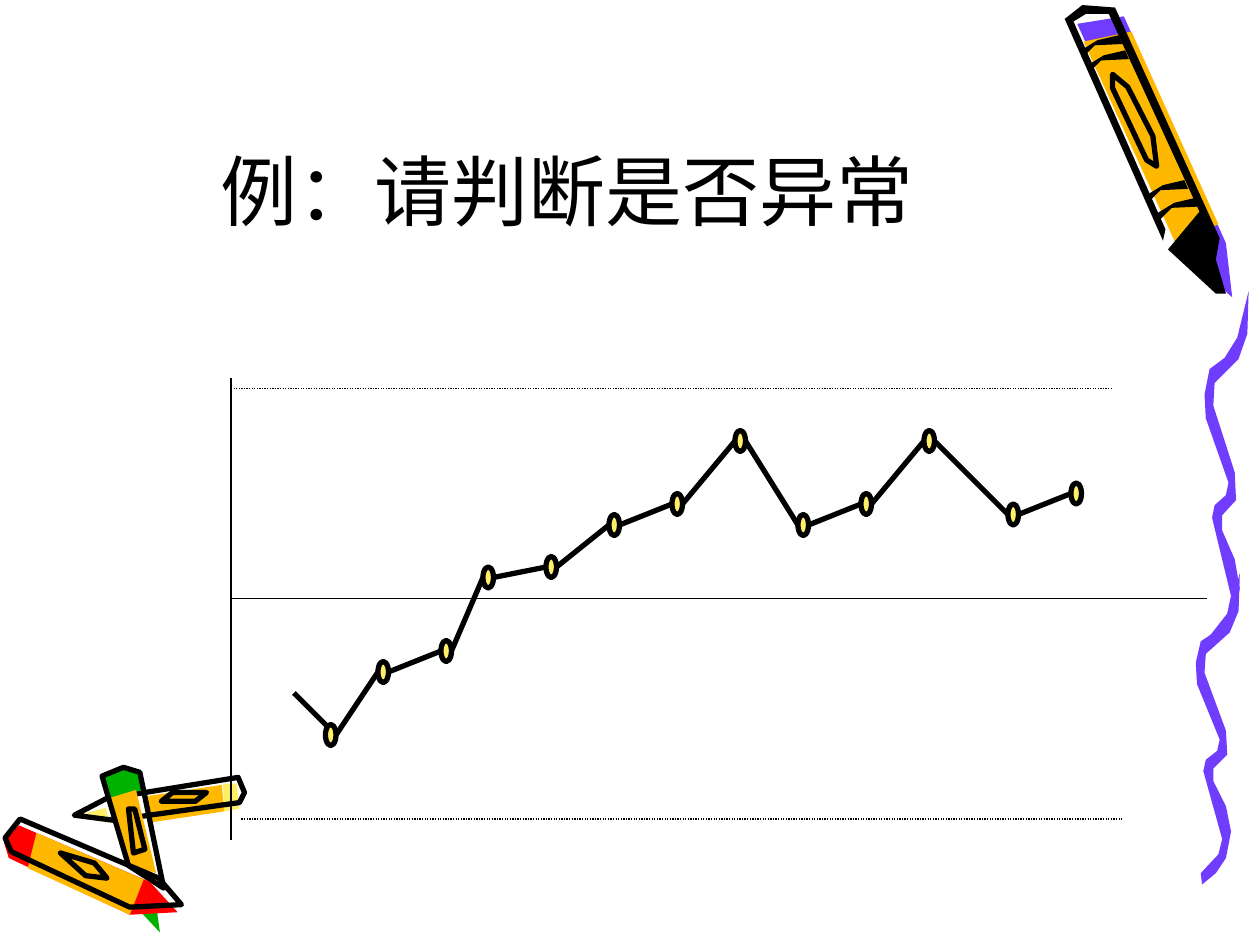
from itertools import pairwise

from lxml import etree
from pptx import Presentation
from pptx.dml.color import RGBColor
from pptx.enum.dml import MSO_LINE
from pptx.enum.shapes import MSO_CONNECTOR, MSO_SHAPE
from pptx.enum.text import MSO_ANCHOR, MSO_AUTO_SIZE, PP_ALIGN
from pptx.oxml.ns import qn
from pptx.util import Cm, Pt

STRAIGHT = MSO_CONNECTOR.STRAIGHT
MARKER = MSO_SHAPE.FLOWCHART_CONNECTOR
DOTTED = MSO_LINE.ROUND_DOT

BLACK = RGBColor(0x00, 0x00, 0x00)
PURPLE = RGBColor(0x70, 0x3D, 0xFF)
ORANGE = RGBColor(0xFF, 0xB8, 0x00)
YELLOW = RGBColor(0xFF, 0xEF, 0x66)
RED = RGBColor(0xFF, 0x00, 0x00)
GREEN = RGBColor(0x00, 0xB2, 0x00)

ART_UNIT = Cm(2.54) / 100   # artwork points are hundredths of an inch
GRID = Cm(2.54) / 12        # the control chart sits on a twelfth-inch grid

# Large crayon: fill colour (None for an outline only) and corner points
LARGE_CRAYON = [
    (PURPLE, [(855, 19), (937, 200), (978, 236), (973, 193), (892, 13)]),
    (ORANGE, [(933, 193), (967, 178), (898, 25), (860, 33)]),
    (BLACK, [(845, 15), (923, 191), (925, 182), (852, 17), (862, 11), (880, 11),
             (952, 168), (927, 198), (965, 233), (973, 233), (965, 206), (968, 189),
             (885, 6), (859, 4)]),
    (None, [(883, 59), (883, 70), (910, 127), (918, 132), (915, 108), (895, 69)]),
]
BAND = [(0, 0), (9, -9), (31, -10), (28, -17), (11, -13), (-2, -5)]
BAND_CORNERS = [(860, 45), (865, 57), (912, 160), (921, 174)]

# Small crayons, from back to front
SMALL_CRAYONS = [
    (YELLOW, [(84, 641), (60, 648), (87, 653)]),
    (ORANGE, [(116, 632), (176, 623), (178, 644), (118, 653)]),
    (YELLOW, [(177, 622), (188, 622), (190, 642), (178, 644)]),
    (None, [(59, 647), (84, 634), (189, 617), (194, 629), (190, 637), (90, 651)]),
    (None, [(128, 636), (137, 629), (164, 629), (155, 636)]),
    (GREEN, [(81, 618), (98, 609), (111, 613), (113, 627), (87, 634)]),
    (ORANGE, [(88, 633), (108, 627), (124, 693), (103, 687)]),
    (None, [(81, 616), (98, 609), (111, 613), (130, 705), (102, 687)]),
    (None, [(102, 642), (107, 642), (115, 674), (106, 677)]),
    (GREEN, [(111, 723), (124, 718), (127, 740)]),
    (RED, [(3, 668), (15, 655), (119, 700), (141, 724), (103, 726), (7, 681)]),
    (ORANGE, [(22, 689), (103, 726), (114, 698), (29, 661)]),
    (None, [(4, 665), (16, 650), (126, 697), (144, 718), (103, 720), (9, 676)]),
    (None, [(48, 677), (75, 685), (85, 697), (68, 695)]),
]

# Upper half of the wavy stroke; the lower half is the same, smaller
WAVE = [
    (960, 505), (974, 487), (977, 473), (962, 411), (964, 401), (973, 393),
    (975, 383), (957, 332), (956, 313), (960, 293), (972, 284), (982, 268),
    (991, 231), (990, 265), (983, 285), (964, 304), (963, 322), (980, 375),
    (981, 397), (970, 409), (970, 421), (980, 444), (984, 467), (980, 491),
    (972, 504), (961, 515),
]

# Control chart, in grid steps: x1, y1, x2, y2 for lines; left, top for markers
AXES = [(22, 36, 22, 80), (22, 57, 115, 57)]
LIMITS = [(22, 37, 106, 37), (23, 78, 107, 78)]
LEAD_IN = (28, 66, 32, 70)
MARKERS = [
    (31, 69), (36, 63), (42, 61), (46, 54), (52, 53), (58, 49), (64, 47),
    (70, 41), (76, 49), (82, 47), (88, 41), (96, 48), (102, 46),
]


def add_title(slide, text):
    title = slide.shapes.title
    title.left, title.top, title.width, title.height = Cm(1.9), Cm(0.43), Cm(19.08), Cm(4.45)
    frame = title.text_frame
    frame.auto_size = MSO_AUTO_SIZE.NONE
    frame.vertical_anchor = MSO_ANCHOR.BOTTOM
    paragraph = frame.paragraphs[0]
    paragraph.alignment = PP_ALIGN.CENTER
    run = paragraph.add_run()
    run.text = text
    run.font.name, run.font.size = "Comic Neue", Pt(44)
    run.font.color.rgb = BLACK


def add_artwork(slide, parts):
    group = slide.shapes.add_group_shape()
    for colour, points in parts:
        builder = group.shapes.build_freeform(*points[0], scale=ART_UNIT)
        builder.add_line_segments(points[1:], close=True)
        shape = builder.convert_to_shape()
        shape.shadow.inherit = False
        if colour is None:
            shape.fill.background()
            shape.line.color.rgb = BLACK
            shape.line.width = Pt(3)
        else:
            shape.fill.solid()
            shape.fill.fore_color.rgb = colour
            shape.line.fill.background()


def add_line(slide, ends, width, dash=None):
    line = slide.shapes.add_connector(STRAIGHT, *(round(value * GRID) for value in ends))
    line.line.color.rgb = BLACK
    line.line.width = Pt(width)
    if dash:
        line.line.dash_style = dash
    etree.SubElement(line._element.spPr, qn("a:effectLst"))


def add_marker(slide, left, top):
    box = (round(value * GRID) for value in (left, top, 1, 2))
    marker = slide.shapes.add_shape(MARKER, *box)
    marker.shadow.inherit = False
    marker.fill.solid()
    marker.fill.fore_color.rgb = YELLOW
    marker.line.color.rgb = BLACK
    marker.line.width = Pt(3)


def main():
    presentation = Presentation()
    presentation.slide_width, presentation.slide_height = Cm(25.4), Cm(19.05)
    slide = presentation.slides.add_slide(presentation.slide_layouts[5])
    add_title(slide, "例：请判断是否异常")

    # Crayons and wavy stroke
    bands = [(BLACK, [(left + x, top + y) for x, y in BAND]) for left, top in BAND_CORNERS]
    lower_wave = [(x - 7, 455 + (y - 231) * 0.87) for x, y in WAVE]
    add_artwork(slide, SMALL_CRAYONS)
    add_artwork(slide, [(PURPLE, lower_wave), (PURPLE, WAVE)])
    add_artwork(slide, LARGE_CRAYON + bands)

    # Axes and control limits
    for ends in AXES:
        add_line(slide, ends, 0.75)
    for ends in LIMITS:
        add_line(slide, ends, 0.75, DOTTED)

    # Data line from marker to marker, then the markers on top
    add_line(slide, LEAD_IN, 3)
    for (left, top), (next_left, next_top) in pairwise(MARKERS):
        add_line(slide, (left + 1, top + 1, next_left, next_top + 1), 3)
    for left, top in MARKERS:
        add_marker(slide, left, top)

    presentation.save("out.pptx")


if __name__ == "__main__":
    main()
